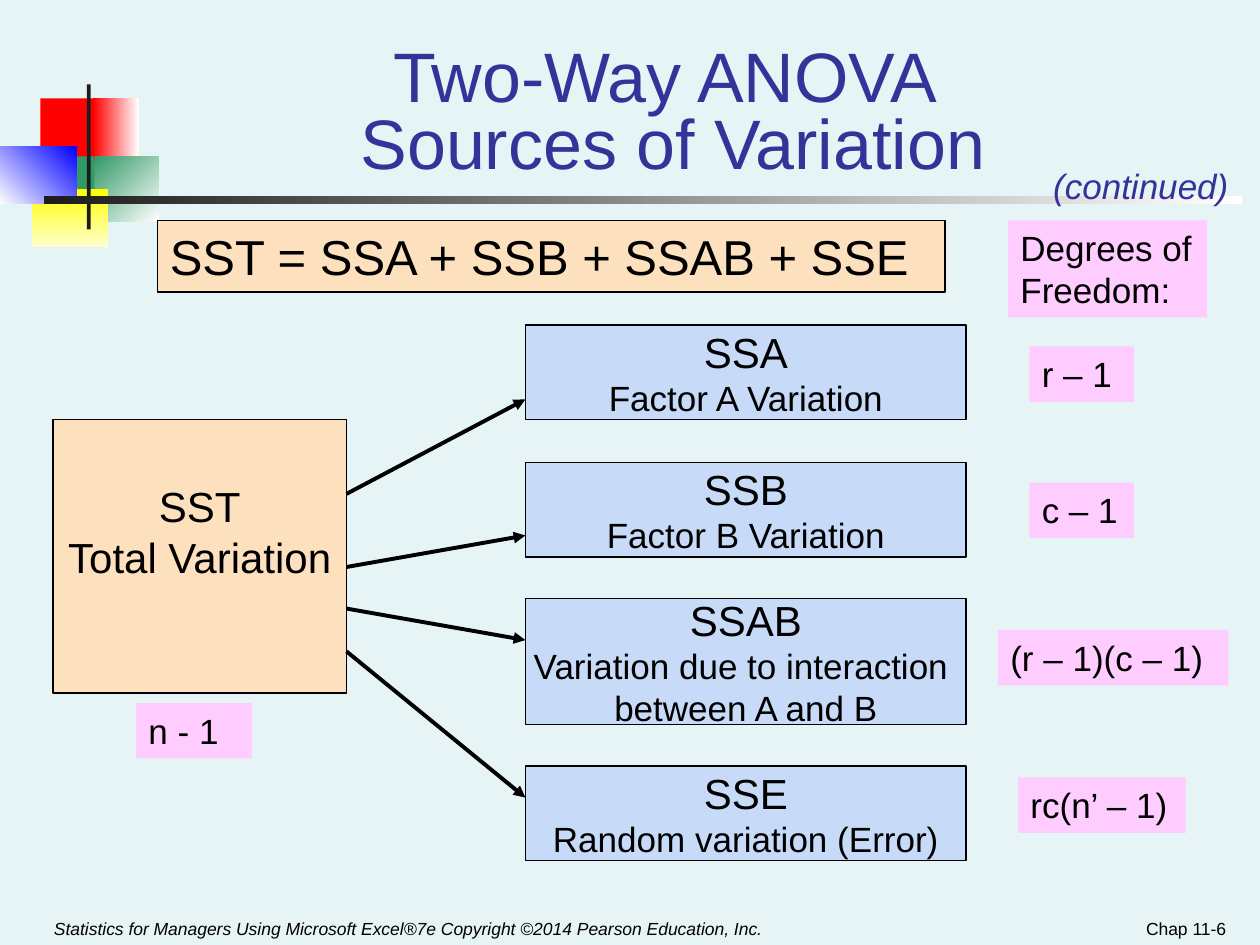
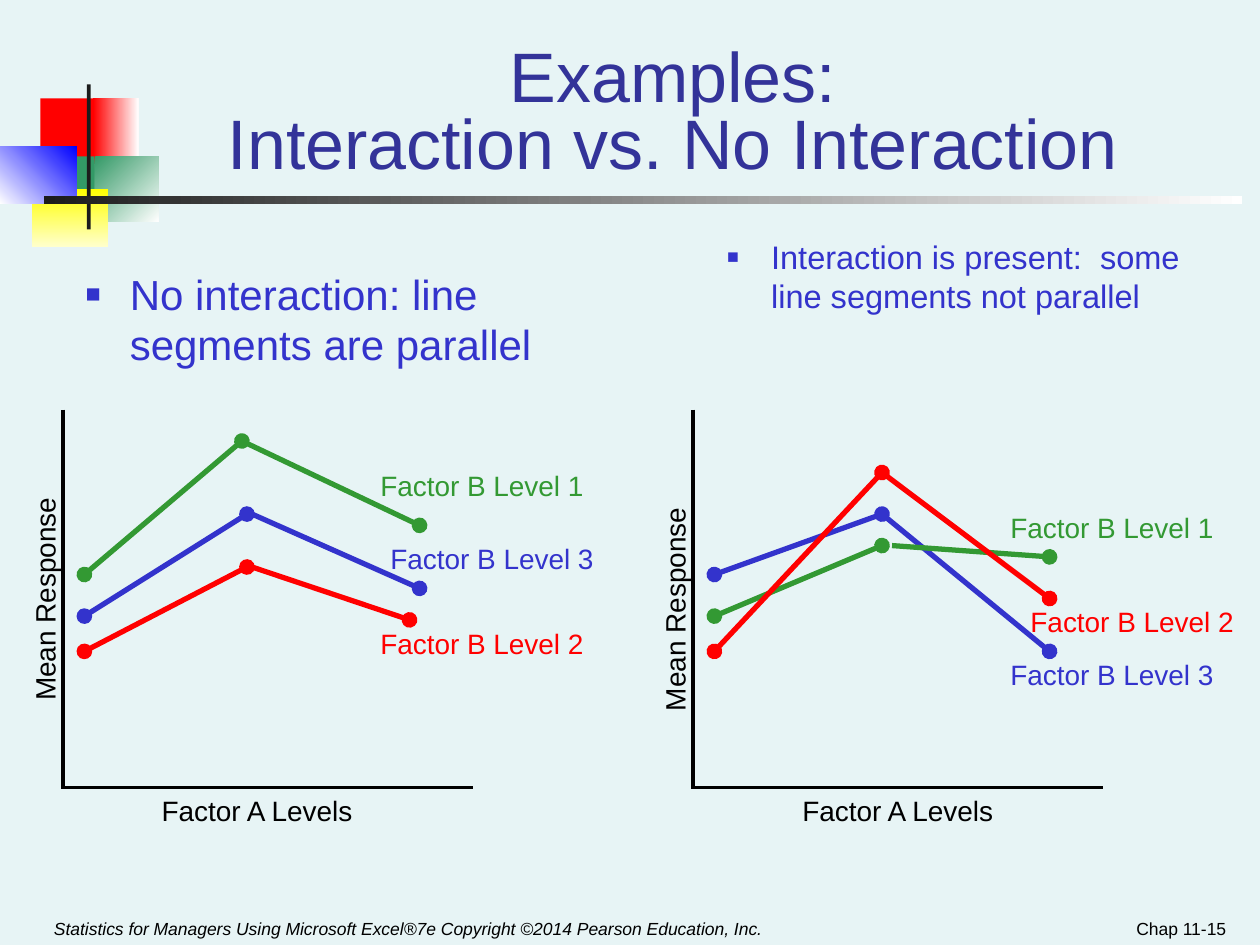
from lxml import etree
from pptx import Presentation
from pptx.dml.color import RGBColor
from pptx.enum.shapes import MSO_CONNECTOR, MSO_SHAPE
from pptx.enum.text import MSO_ANCHOR, MSO_AUTO_SIZE, PP_ALIGN
from pptx.oxml.ns import qn
from pptx.util import Inches, Pt

LEFT, CENTER, RIGHT = PP_ALIGN.LEFT, PP_ALIGN.CENTER, PP_ALIGN.RIGHT
TOP, MIDDLE, BOTTOM = MSO_ANCHOR.TOP, MSO_ANCHOR.MIDDLE, MSO_ANCHOR.BOTTOM
RECTANGLE, STRAIGHT = MSO_SHAPE.RECTANGLE, MSO_CONNECTOR.STRAIGHT
NO_AUTOFIT = MSO_AUTO_SIZE.NONE

FONT = "Arial"
BACKGROUND = RGBColor(0xE7, 0xF4, 0xF5)
BLACK = RGBColor(0, 0, 0)
WHITE = RGBColor(0xFF, 0xFF, 0xFF)
CHARCOAL = RGBColor(0x1C, 0x1C, 0x1C)
NAVY = RGBColor(0x33, 0x33, 0x99)
BLUE = RGBColor(0x33, 0x33, 0xCC)
PURE_BLUE = RGBColor(0, 0, 0xFF)
GREEN = RGBColor(0x33, 0x99, 0x33)
SEA_GREEN = RGBColor(0x33, 0x99, 0x66)
RED = RGBColor(0xFF, 0, 0)
YELLOW = RGBColor(0xFF, 0xFF, 0)
PALE_YELLOW = RGBColor(0xFF, 0xFF, 0xCC)
PEACH = RGBColor(0xFD, 0xE0, 0xBD)
SKY = RGBColor(0xC7, 0xDA, 0xF7)
PINK = RGBColor(0xFF, 0xCC, 0xFF)

FOOTER = ("Statistics for Managers Using Microsoft Excel®7e "
          "Copyright ©2014 Pearson Education, Inc.")

# (left, top, width, height), colours, counterclockwise gradient angle
ORNAMENT = [
    ((0.32, 0.78, 0.48, 0.52), [RED], 0),
    ((0.74, 0.78, 0.36, 0.52), [RED, WHITE], 0),
    ((0.75, 1.24, 0.51, 0.52), [SEA_GREEN, WHITE], 315),
    ((0.43, 1.24, 0.32, 0.52), [SEA_GREEN], 0),
    ((0.25, 1.5, 0.61, 0.46), [YELLOW, PALE_YELLOW], 270),
    ((0, 1.16, 0.61, 0.46), [WHITE, PURE_BLUE], 45),
    ((0.69, 0.67, 0.03, 1.15), [CHARCOAL], 0),
    ((0.35, 1.56, 9.51, 0.06), [CHARCOAL, WHITE], 0),
]

TOTAL_BOX = (0.42, 3.33, 2.33, 2.17)
SOURCE_LEFT, SOURCE_WIDTH = 4.17, 3.5
# name, description, top, height, arrow start and end heights
SOURCES = [
    ("SSA", ["Factor A Variation"], 2.58, 0.75, 3.92, 3.17),
    ("SSB", ["Factor B Variation"], 3.67, 0.75, 4.5, 4.25),
    ("SSAB", ["Variation due to interaction ", "between A and B"], 4.75, 1, 4.83, 5.08),
    ("SSE", ["Random variation (Error)"], 6.08, 0.75, 5.17, 6.33),
]
DEGREES_OF_FREEDOM = [
    ("Degrees of Freedom:", (8, 1.75, 1.58, 0.77)),
    ("r – 1", (8.17, 2.75, 0.83, 0.44)),
    ("c – 1", (8.17, 3.83, 0.83, 0.44)),
    ("(r – 1)(c – 1)", (7.92, 5, 1.83, 0.44)),
    ("rc(n’ – 1)", (8.08, 6.17, 1.33, 0.44)),
    ("n - 1", (1.08, 5.58, 0.92, 0.44)),
]

# Horizontal places count from the vertical axis of each plot.
# Series: name, colour, label place, first point, peak, second segment start x, end
PLOTS = [
    {
        "axis": 0.5,
        "caption": "No interaction: line segments are parallel",
        "caption_box": (0.58, 2.08, 4, 1),
        "caption_size": 24,
        "factor_label": (0.58, 1.92),
        "response_top": 4.57,
        "series": [
            ("Factor B Level 1", GREEN, (2.42, 3.67), (0.17, 4.56), (1.42, 3.5), 1.42, (2.83, 4.17)),
            ("Factor B Level 3", BLUE, (2.5, 4.25), (0.17, 4.89), (1.46, 4.08), 1.5, (2.83, 4.67)),
            ("Factor B Level 2", RED, (2.42, 4.92), (0.17, 5.17), (1.46, 4.5), 1.5, (2.75, 4.92)),
        ],
    },
    {
        "axis": 5.5,
        "caption": "Interaction is present:  some line segments not parallel",
        "caption_box": (5.67, 1.83, 4, 1),
        "caption_size": 18.6,
        "factor_label": (0.5, 2.25),
        "response_top": 4.65,
        "series": [
            ("Factor B Level 3", BLUE, (2.42, 5.17), (0.17, 4.56), (1.5, 4.08), 1.5, (2.83, 5.17)),
            ("Factor B Level 1", GREEN, (2.42, 4), (0.17, 4.89), (1.5, 4.33), 1.58, (2.83, 4.42)),
            ("Factor B Level 2", RED, (2.58, 4.75), (0.17, 5.17), (1.5, 3.75), 1.5, (2.83, 4.75)),
        ],
    },
]
AXIS_TOP, AXIS_BOTTOM, AXIS_LENGTH = 3.25, 6.25, 3.25


def inches(values):
    return [Inches(value) for value in values]


def add_run(paragraph, text, size, color, italic=False):
    run = paragraph.add_run()
    run.text = text
    font = run.font
    font.name, font.size, font.italic = FONT, Pt(size), italic
    font.color.rgb = color


def write(shape, lines, color=BLACK, align=LEFT, anchor=TOP, italic=False, wrap=True):
    """Fill a shape with one paragraph for each (text, size) pair."""
    frame = shape.text_frame
    frame.auto_size = NO_AUTOFIT
    frame.word_wrap = wrap
    frame.vertical_anchor = anchor
    for index, (text, size) in enumerate(lines):
        paragraph = frame.add_paragraph() if index else frame.paragraphs[0]
        paragraph.alignment = align
        add_run(paragraph, text, size, color, italic)


def add_text(slide, box, text, size, **style):
    text_box = slide.shapes.add_textbox(*inches(box))
    write(text_box, [(text, size)], **style)
    return text_box


def add_box(slide, box, colors, angle=0, outlined=False):
    """Add a rectangle filled with one colour or a gradient of two."""
    shape = slide.shapes.add_shape(RECTANGLE, *inches(box))
    shape.shadow.inherit = False
    if len(colors) == 1:
        shape.fill.solid()
        shape.fill.fore_color.rgb = colors[0]
    else:
        shape.fill.gradient()
        shape.fill.gradient_angle = angle
        for stop, color in zip(shape.fill.gradient_stops, colors):
            stop.color.rgb = color
    if outlined:
        shape.line.color.rgb = BLACK
        shape.line.width = Pt(1)
    else:
        shape.line.fill.background()
    return shape


def add_line(slide, start, end, color=BLACK, width=2.25, head=None, tail=None):
    line = slide.shapes.add_connector(STRAIGHT, *inches(start + end))
    line.line.color.rgb = color
    line.line.width = Pt(width)
    properties = line.line._get_or_add_ln()
    for tag, kind in (("a:headEnd", head), ("a:tailEnd", tail)):
        if kind:
            etree.SubElement(properties, qn(tag), type=kind)
    etree.SubElement(line._element.spPr, qn("a:effectLst"))


def place(shape, box):
    shape.left, shape.top, shape.width, shape.height = inches(box)


def add_slide(presentation, layout_index, title_lines, title_box, page):
    slide = presentation.slides.add_slide(presentation.slide_layouts[layout_index])
    for box, colors, angle in ORNAMENT:
        add_box(slide, box, colors, angle)
    add_text(slide, (0.33, 7.08, 6.08, 0.42), FOOTER, 10, anchor=BOTTOM, italic=True)
    add_text(slide, (7.5, 7.15, 2.33, 0.35), page, 10, align=RIGHT, anchor=BOTTOM)

    title = slide.shapes.title
    place(title, title_box)
    write(title, [(title_lines[0], 40)], color=NAVY, align=CENTER, anchor=BOTTOM)
    paragraph = title.text_frame.paragraphs[0]
    paragraph.line_spacing = 0.8
    paragraph.add_line_break()
    add_run(paragraph, title_lines[1], 40, NAVY)
    return slide


def write_bullet(placeholder, text, size):
    paragraph = placeholder.text_frame.paragraphs[0]
    properties = paragraph._p.get_or_add_pPr()
    properties.set("marL", str(Inches(0.35)))
    properties.set("indent", str(-Inches(0.35)))
    color = etree.SubElement(properties, qn("a:buClr"))
    etree.SubElement(color, qn("a:srgbClr"), val=str(BLUE))
    etree.SubElement(properties, qn("a:buSzPct"), val="60000")
    etree.SubElement(properties, qn("a:buFont"), typeface=FONT)
    etree.SubElement(properties, qn("a:buChar"), char="■")
    paragraph.space_before = Pt(0)
    write(placeholder, [(text, size)], color=BLUE)


def build_sources_slide(presentation):
    slide = add_slide(presentation, 5, ("Two-Way ANOVA ", "Sources of Variation"),
                      (1.08, 0.5, 8.52, 1), "Chap 11-6")
    total = add_box(slide, TOTAL_BOX, [PEACH], outlined=True)
    write(total, [("SST", 24), ("Total Variation", 24)],
          align=CENTER, anchor=MIDDLE, wrap=False)
    total.text_frame.margin_bottom = Inches(0.45)

    total_right = TOTAL_BOX[0] + TOTAL_BOX[2]
    for name, description, top, height, arrow_start, arrow_end in SOURCES:
        source = add_box(slide, (SOURCE_LEFT, top, SOURCE_WIDTH, height), [SKY], outlined=True)
        write(source, [(name, 24)] + [(line, 20) for line in description],
              align=CENTER, anchor=MIDDLE, wrap=False)
        add_line(slide, (total_right, arrow_start), (SOURCE_LEFT, arrow_end), tail="triangle")

    for text, box in DEGREES_OF_FREEDOM:
        write(add_box(slide, box, [PINK]), [(text, 20)])
    equation = add_box(slide, (1.25, 1.75, 6.25, 0.57), [PEACH], outlined=True)
    write(equation, [("SST = SSA + SSB + SSAB + SSE", 28)])
    add_text(slide, (8.26, 1.26, 1.59, 0.44), "(continued)", 20,
             color=NAVY, italic=True, wrap=False)


def draw_plot(slide, plot):
    axis = plot["axis"]
    for name, color, label, first, peak, resume, end in plot["series"]:
        add_line(slide, (axis + first[0], first[1]), (axis + peak[0], peak[1]),
                 color, 3, head="oval", tail="oval")
        add_line(slide, (axis + resume, peak[1]), (axis + end[0], end[1]),
                 color, 3, tail="oval")
        add_text(slide, (axis + label[0], label[1], 1.92, 0.37), name, 16, color=color)

    add_line(slide, (axis, AXIS_TOP), (axis, AXIS_BOTTOM + 0.01))
    add_line(slide, (axis, AXIS_BOTTOM), (axis + AXIS_LENGTH, AXIS_BOTTOM))
    offset, width = plot["factor_label"]
    add_text(slide, (axis + offset, AXIS_BOTTOM, width, 0.37),
             "Factor A Levels", 16, align=CENTER)
    response = add_text(slide, (axis - 1.23, plot["response_top"], 2.17, 0.37),
                        "Mean Response", 16, align=CENTER)
    response.rotation = 270


def build_interaction_slide(presentation):
    slide = add_slide(presentation, 3, ("Examples:", "Interaction vs. No Interaction"),
                      (1.08, 0.42, 8.52, 1.08), "Chap 11-15")
    for index, plot in enumerate(PLOTS, start=1):
        caption = slide.placeholders[index]
        place(caption, plot["caption_box"])
        write_bullet(caption, plot["caption"], plot["caption_size"])
        draw_plot(slide, plot)


def main():
    presentation = Presentation()
    presentation.slide_width, presentation.slide_height = Inches(10), Inches(7.5)
    background = presentation.slide_master.background.fill
    background.solid()
    background.fore_color.rgb = BACKGROUND
    build_sources_slide(presentation)
    build_interaction_slide(presentation)
    presentation.save("out.pptx")


if __name__ == "__main__":
    main()
